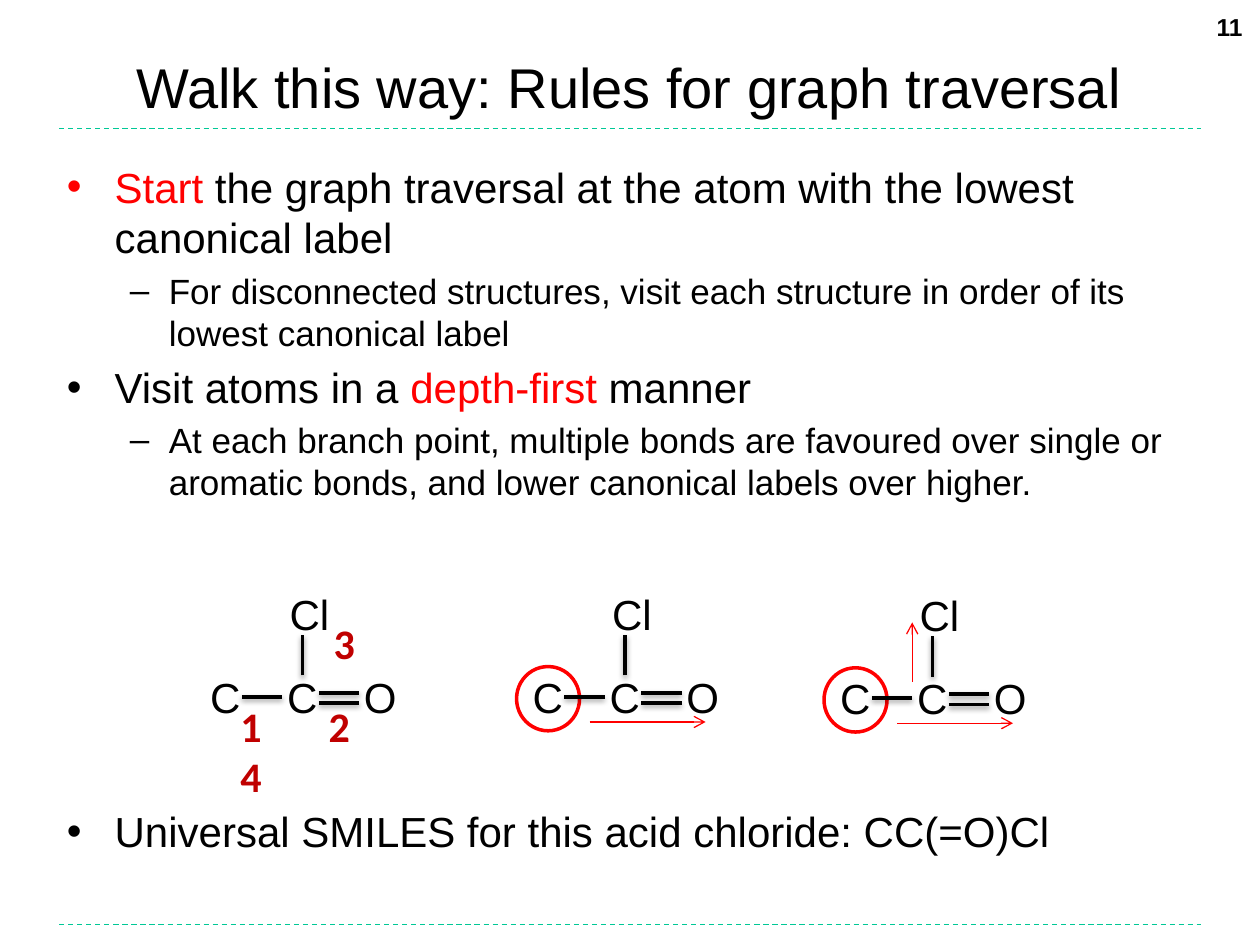
from dataclasses import dataclass

from lxml import etree
from pptx import Presentation
from pptx.dml.color import RGBColor
from pptx.enum.dml import MSO_LINE
from pptx.enum.shapes import MSO_CONNECTOR, MSO_SHAPE
from pptx.enum.text import MSO_ANCHOR, MSO_AUTO_SIZE, PP_ALIGN
from pptx.oxml.ns import qn
from pptx.util import Inches, Pt

STRAIGHT = MSO_CONNECTOR.STRAIGHT
DASH = MSO_LINE.DASH
RECTANGLE, OVAL = MSO_SHAPE.RECTANGLE, MSO_SHAPE.OVAL
TOP, MIDDLE = MSO_ANCHOR.TOP, MSO_ANCHOR.MIDDLE
CENTER, RIGHT = PP_ALIGN.CENTER, PP_ALIGN.RIGHT
NO_FIT = MSO_AUTO_SIZE.NONE


@dataclass(frozen=True)
class Theme:
    """Colours, fonts and type sizes of the slide."""
    black: str = "000000"
    white: str = "FFFFFF"
    red: str = "FF0000"
    label_red: str = "C00000"
    rule: str = "00C896"
    font: str = "Arial"
    label_font: str = "Calibri"
    title: int = 32
    main: int = 24
    sub: int = 20
    number: int = 14
    thin: float = 0.75
    thick: float = 2


THEME = Theme()
BULLETS = [
    (0, [("Start", THEME.red),
         (" the graph traversal at the atom with the lowest canonical label", THEME.black)]),
    (1, [("For disconnected structures, visit each structure in order of its "
          "lowest canonical label", THEME.black)]),
    (0, [("Visit atoms in a ", THEME.black), ("depth-first", THEME.red),
         (" manner", THEME.black)]),
    (1, [("At each branch point, multiple bonds are favoured over single or aromatic "
          "bonds, and lower canonical labels over higher.", THEME.black)]),
    (0, [("Universal SMILES for this acid chloride: CC(=O)Cl", THEME.black)]),
]
LEVELS = [(THEME.main, 0.38, -0.38), (THEME.sub, 0.81, -0.31)]
DIAGRAM_GAP = Pt(173)


def apply(target, values):
    """Set every attribute named in a dict of format values."""
    for name, value in values.items():
        setattr(target, name, value)


def add_run(paragraph, text, size, color=THEME.black, font=THEME.font, bold=False):
    """Append one formatted run to a paragraph."""
    run = paragraph.add_run()
    run.text = text
    apply(run.font, {"size": Pt(size), "name": font, "bold": bold})
    run.font.color.rgb = RGBColor.from_string(color)


def place(shape, left, top, width, height):
    """Move and size a placeholder."""
    apply(shape, {"left": Inches(left), "top": Inches(top),
                  "width": Inches(width), "height": Inches(height)})


def add_title(slide, text):
    """Fill the title placeholder."""
    title = slide.shapes.title
    place(title, 0.43, 0.35, 9.13, 0.66)
    apply(title.text_frame, {"auto_size": NO_FIT, "vertical_anchor": MIDDLE})
    heading = title.text_frame.paragraphs[0]
    heading.alignment = CENTER
    add_run(heading, text, THEME.title)


def add_bullets(slide, bullets):
    """Fill the body placeholder, leaving room for the diagrams above the last point."""
    body = slide.placeholders[1]
    place(body, 0.43, 1.23, 9.06, 3.31)
    frame = body.text_frame
    apply(frame, {"auto_size": NO_FIT, "vertical_anchor": TOP})
    for index, (level, pieces) in enumerate(bullets):
        point = frame.add_paragraph() if index else frame.paragraphs[0]
        point.level = level
        size, margin, indent = LEVELS[level]
        properties = point._p.get_or_add_pPr()
        properties.set("marL", str(Inches(margin)))
        properties.set("indent", str(Inches(indent)))
        for text, color in pieces:
            add_run(point, text, size, color)
    point.space_before = DIAGRAM_GAP


def add_shape(slide, kind, left, top, width, height, line):
    """Add a white outlined preset shape."""
    shape = slide.shapes.add_shape(
        kind, Inches(left), Inches(top), Inches(width), Inches(height))
    shape.shadow.inherit = False
    shape.fill.solid()
    shape.fill.fore_color.rgb = RGBColor.from_string(THEME.white)
    shape.line.color.rgb = RGBColor.from_string(line)
    shape.line.width = Pt(THEME.thick)
    return shape


def add_page_number(slide, text):
    """Put the page number in the top right corner."""
    frame = add_shape(slide, RECTANGLE, 9.41, 0.05, 0.55, 0.5, THEME.white).text_frame
    frame.vertical_anchor = TOP
    frame.paragraphs[0].alignment = RIGHT
    add_run(frame.paragraphs[0], text, THEME.number, bold=True)


def add_label(shapes, lines, left, top, width, tab=0, **style):
    """Add a text box whose tabbed columns are equally spaced."""
    box = shapes.add_textbox(Inches(left), Inches(top), Inches(width), Inches(0.5))
    box.text_frame.word_wrap = True
    for index, text in enumerate(lines):
        line = box.text_frame.add_paragraph() if index else box.text_frame.paragraphs[0]
        if tab:
            stops = etree.SubElement(line._p.get_or_add_pPr(), qn("a:tabLst"))
            for column in range(1, text.count("\t") + 1):
                etree.SubElement(stops, qn("a:tab"),
                                 pos=str(Inches(tab * column)), algn="l")
        add_run(line, text, THEME.main, **style)


def add_line(shapes, x1, y1, x2, y2, color, width):
    """Add a straight line without a shadow and return it with its effect list."""
    line = shapes.add_connector(STRAIGHT, Inches(x1), Inches(y1), Inches(x2), Inches(y2))
    line.line.color.rgb = RGBColor.from_string(color)
    line.line.width = Pt(width)
    effects = etree.SubElement(line._element.spPr, qn("a:effectLst"))
    return line, effects


def add_rule(slide, y):
    """Add a dashed rule across the slide."""
    rule, _ = add_line(slide.shapes, 0.47, y, 9.53, y, THEME.rule, THEME.thin)
    rule.line.dash_style = DASH


def add_arrow(slide, x1, y1, x2, y2):
    """Add a red arrow along the walk."""
    arrow, _ = add_line(slide.shapes, x1, y1, x2, y2, THEME.red, THEME.thin)
    etree.SubElement(arrow.line._get_or_add_ln(), qn("a:tailEnd"), type="arrow")


def add_bond(shapes, x1, y1, x2, y2):
    """Add a black bond with a soft shadow below it."""
    _, effects = add_line(shapes, x1, y1, x2, y2, THEME.black, THEME.thick)
    shadow = etree.SubElement(effects, qn("a:outerShdw"), blurRad=str(Pt(3.1)),
                              dist=str(Pt(1.6)), dir="5400000", rotWithShape="0")
    color = etree.SubElement(shadow, qn("a:srgbClr"), val=THEME.black)
    etree.SubElement(color, qn("a:alpha"), val="38000")


def add_molecule(shapes, x, y):
    """Draw acetyl chloride with its atom row starting at x, y."""
    add_label(shapes, ["C\tC\tO"], x, y, 1.73, tab=0.61)
    add_bond(shapes, x + 0.35, y + 0.25, x + 0.67, y + 0.25)
    add_bond(shapes, x + 0.83, y + 0.08, x + 0.83, y - 0.24)
    double_bond = shapes.add_group_shape().shapes
    for drop in (0.3, 0.22):
        add_bond(double_bond, x + 0.96, y + drop, x + 1.28, y + drop)
    add_label(shapes, ["Cl"], x + 0.63, y - 0.66, 0.57)


def add_labelled_molecule(slide, x, y):
    """Draw the molecule grouped with its canonical labels."""
    group = slide.shapes.add_group_shape().shapes
    add_molecule(group, x, y)
    style = {"color": THEME.label_red, "font": THEME.label_font, "bold": True}
    add_label(group, ["1\t2", "4"], x + 0.24, y + 0.23, 1.62, tab=0.7, **style)
    add_label(group, ["3"], x + 0.98, y - 0.43, 0.52, **style)


def add_walk(slide, x, y, branch):
    """Draw the molecule with its start atom ringed and the walk so far."""
    add_shape(slide, OVAL, x - 0.03, y + 0.01, 0.5, 0.51, THEME.red)
    add_arrow(slide, x + 0.55, y + 0.45, x + 1.47, y + 0.45)
    add_molecule(slide.shapes, x, y)
    if branch:
        add_arrow(slide, x + 0.67, y + 0.12, x + 0.67, y - 0.35)


def main():
    """Build and save the slide."""
    deck = Presentation()
    apply(deck, {"slide_width": Inches(10), "slide_height": Inches(7.5)})
    slide = deck.slides.add_slide(deck.slide_layouts[1])
    for y in (7.34, 1.02):
        add_rule(slide, y)
    add_title(slide, "Walk this way: Rules for graph traversal")
    add_bullets(slide, BULLETS)
    add_page_number(slide, "11")
    add_labelled_molecule(slide, 1.57, 5.28)
    add_walk(slide, 4.13, 5.28, branch=False)
    add_walk(slide, 6.57, 5.29, branch=True)
    deck.save("out.pptx")


if __name__ == "__main__":
    main()
